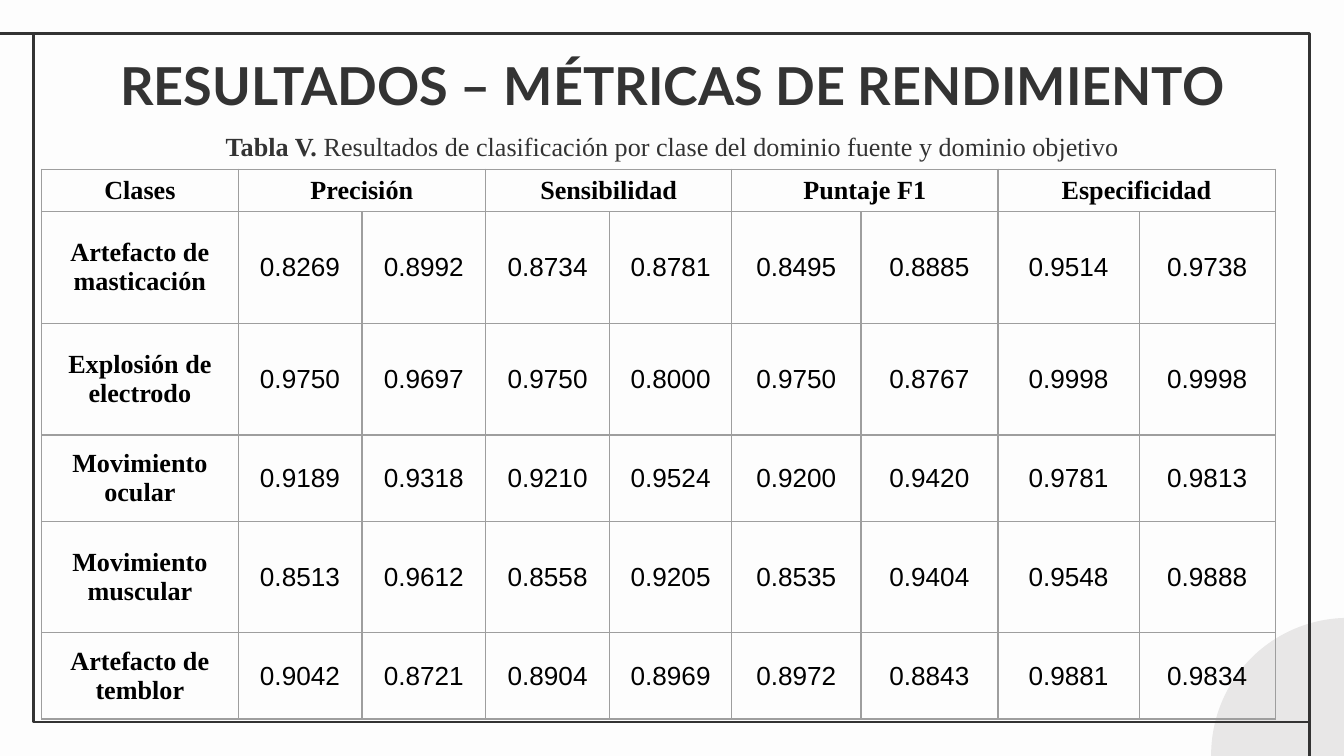
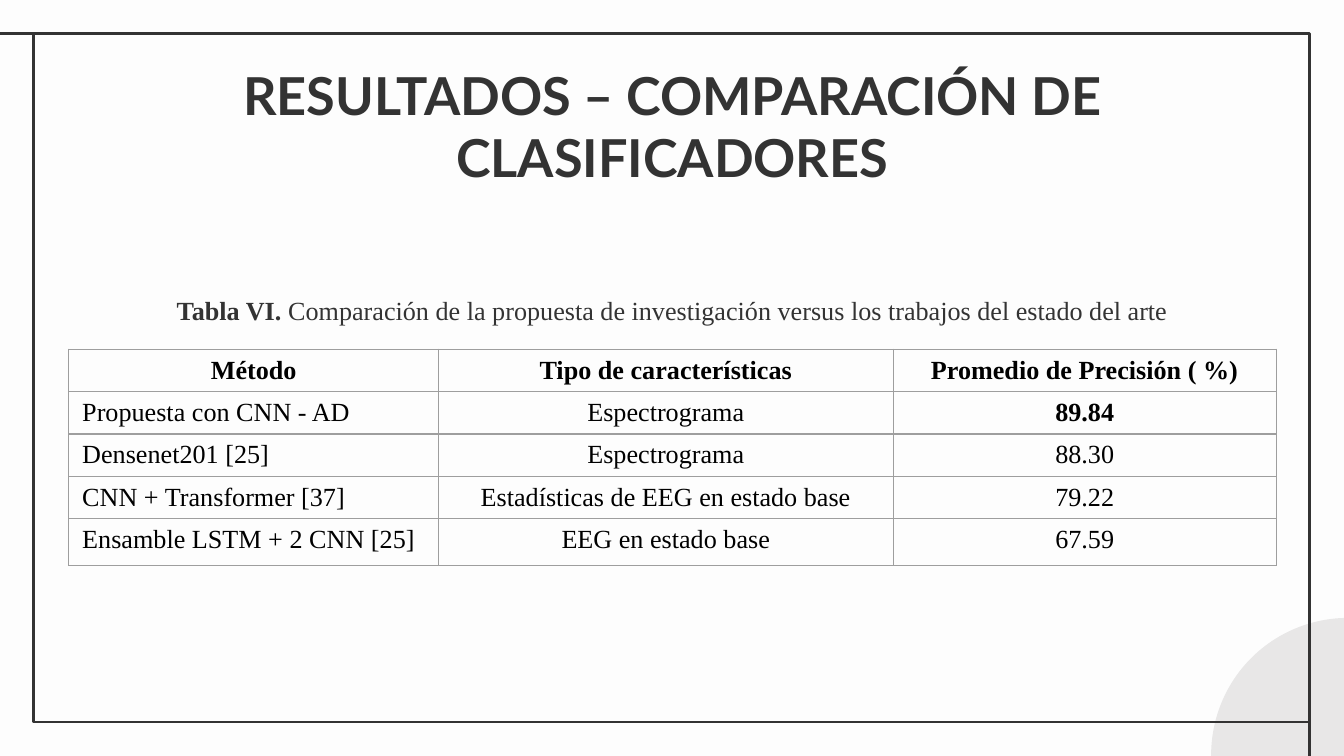
from lxml.etree import SubElement
from pptx import Presentation
from pptx.dml.color import RGBColor
from pptx.enum.shapes import MSO_CONNECTOR, MSO_SHAPE
from pptx.enum.text import MSO_ANCHOR, PP_ALIGN
from pptx.oxml import parse_xml
from pptx.oxml.ns import nsdecls, qn
from pptx.util import Cm, Pt

COLORS = {"bg": "FDFDFD", "ink": "333333", "circle": "E8E7E7",
          "cell": "000000", "border": "9E9E9E"}
SERIF, SANS, TITLE = "Times New Roman", "Arial", "Lato"
WIDTH, HEIGHT = 25.4, 14.29

METRICS = ["Precisión", "Sensibilidad", "Puntaje F1", "Especificidad"]
SCORES = [
    ("Artefacto de masticación", "0.8269 0.8992 0.8734 0.8781 0.8495 0.8885 0.9514 0.9738"),
    ("Explosión de electrodo", "0.9750 0.9697 0.9750 0.8000 0.9750 0.8767 0.9998 0.9998"),
    ("Movimiento ocular", "0.9189 0.9318 0.9210 0.9524 0.9200 0.9420 0.9781 0.9813"),
    ("Movimiento muscular", "0.8513 0.9612 0.8558 0.9205 0.8535 0.9404 0.9548 0.9888"),
    ("Artefacto de temblor", "0.9042 0.8721 0.8904 0.8969 0.8972 0.8843 0.9881 0.9834"),
]
METHODS = [
    ("Método", "Tipo de características", "Promedio de Precisión ( %)"),
    ("Propuesta con CNN - AD", "Espectrograma", "89.84"),
    ("Densenet201 [25]", "Espectrograma", "88.30"),
    ("CNN + Transformer [37]", "Estadísticas de EEG en estado base", "79.22"),
    ("Ensamble LSTM + 2 CNN [25]", "EEG en estado base", "67.59"),
]


def rgb(name):
    return RGBColor.from_string(COLORS[name])


def set_font(p, name, size, color, bold=None):
    p.font.name, p.font.size, p.font.bold = name, Pt(size), bold
    p.font.color.rgb = rgb(color)


def add_line(s, x1, y1, x2, y2):
    line = s.shapes.add_connector(MSO_CONNECTOR.STRAIGHT, Cm(x1), Cm(y1), Cm(x2), Cm(y2))
    line.line.color.rgb = rgb("ink")
    line.line.width = Pt(1.5)
    SubElement(line._element.spPr, qn("a:effectLst"))


def add_frame(s, x, y, w, h):
    # Corner circle, cut by the slide edge
    sp = s.shapes.add_shape(MSO_SHAPE.OVAL, Cm(22.89), Cm(11.68), Cm(5.18), Cm(5.18))
    sp.shadow.inherit = False
    sp.fill.solid()
    sp.fill.fore_color.rgb = rgb("circle")
    sp.line.fill.background()
    # Frame with lines running on to the slide edges
    sp = s.shapes.add_shape(MSO_SHAPE.RECTANGLE, Cm(x), Cm(y), Cm(w), Cm(h))
    sp.shadow.inherit = False
    sp.fill.background()
    sp.line.color.rgb = rgb("ink")
    sp.line.width = Pt(1.5)
    add_line(s, x, y, 0, y)
    add_line(s, x + w, y + h, x + w, HEIGHT)


def add_text(s, x, y, w, h):
    tf = s.shapes.add_textbox(Cm(x), Cm(y), Cm(w), Cm(h)).text_frame
    tf.word_wrap = True
    p = tf.paragraphs[0]
    p.alignment = PP_ALIGN.CENTER
    return tf, p


def add_title(s, text, y, h):
    tf, p = add_text(s, 1.3, y, 22.81, h)
    tf.margin_top = tf.margin_bottom = Cm(0.25)
    p.text = text
    set_font(p, TITLE, 28, "ink", True)


def add_caption(s, label, text, y):
    _, p = add_text(s, 1.63, y, 22.17, 0.86)
    set_font(p, SERIF, 14, "ink")
    for part, bold in ((label + " ", True), (text, False)):
        r = p.add_run()
        r.text = part
        r.font.bold = bold


def set_cell(cell, text, font=SERIF, bold=False, align=PP_ALIGN.CENTER):
    p = cell.text_frame.paragraphs[0]
    p.text = text
    p.alignment = align
    set_font(p, font, 14, "cell", bold)


def add_grid(s, x, y, cols, rows, anchor):
    table = s.shapes.add_table(len(rows), len(cols), Cm(x), Cm(y),
                               Cm(sum(cols)), Cm(sum(rows))).table
    table.first_row = table.horz_banding = False
    for col, w in zip(table.columns, cols):
        col.width = Cm(w)
    for row, h in zip(table.rows, rows):
        row.height = Cm(h)
    for cell in table.iter_cells():
        cell.vertical_anchor = anchor
        for side in ("lnL", "lnR", "lnT", "lnB"):
            cell._tc.get_or_add_tcPr().append(parse_xml(
                f'<a:{side} {nsdecls("a")} w="9525"><a:solidFill>'
                f'<a:srgbClr val="{COLORS["border"]}"/></a:solidFill></a:{side}>'))
        cell.fill.background()
    return table


def add_scores_table(s, x, y):
    cols = [3.71, 2.34, 2.34, 2.34, 2.31, 2.44, 2.59, 2.67, 2.57]
    rows = [0.69, 2.11, 2.11, 1.63, 2.11, 1.63]
    table = add_grid(s, x, y, cols, rows, MSO_ANCHOR.MIDDLE)
    # Header: each metric spans two columns
    set_cell(table.cell(0, 0), "Clases", bold=True)
    for i, metric in enumerate(METRICS):
        head = table.cell(0, 2 * i + 1)
        head.merge(table.cell(0, 2 * i + 2))
        set_cell(head, metric, bold=True)
    # One row per class
    for i, (name, values) in enumerate(SCORES, 1):
        set_cell(table.cell(i, 0), name, bold=True)
        for j, value in enumerate(values.split(), 1):
            set_cell(table.cell(i, j), value, SANS)


def add_methods_table(s, x, y):
    table = add_grid(s, x, y, [6.99, 8.59, 7.24], [0.74] * 4 + [0.89], MSO_ANCHOR.TOP)
    for i, row in enumerate(METHODS):
        for j, text in enumerate(row):
            # Bold for the header and the best score
            bold = i == 0 or (i, j) == (1, 2)
            align = PP_ALIGN.LEFT if i and j == 0 else PP_ALIGN.CENTER
            set_cell(table.cell(i, j), text, bold=bold, align=align)


def new_slide(prs):
    s = prs.slides.add_slide(prs.slide_layouts[6])
    s.background.fill.solid()
    s.background.fill.fore_color.rgb = rgb("bg")
    add_frame(s, 0.64, 0.64, 24.11, 13.01)
    return s


def metrics_slide(prs):
    s = new_slide(prs)
    add_scores_table(s, 0.79, 3.2)
    add_caption(s, "Tabla V.", "Resultados de clasificación por clase del "
                "dominio fuente y dominio objetivo", 2.34)
    add_title(s, "RESULTADOS – MÉTRICAS DE RENDIMIENTO", 0.76, 1.6)


def comparison_slide(prs):
    s = new_slide(prs)
    add_methods_table(s, 1.3, 6.6)
    add_title(s, "RESULTADOS – COMPARACIÓN DE CLASIFICADORES", 0.94, 2.84)
    add_caption(s, "Tabla VI.", "Comparación de la propuesta de investigación "
                "versus los trabajos del estado del arte", 5.44)


def main():
    prs = Presentation()
    prs.slide_width, prs.slide_height = Cm(WIDTH), Cm(HEIGHT)
    metrics_slide(prs)
    comparison_slide(prs)
    prs.save("out.pptx")


if __name__ == "__main__":
    main()
